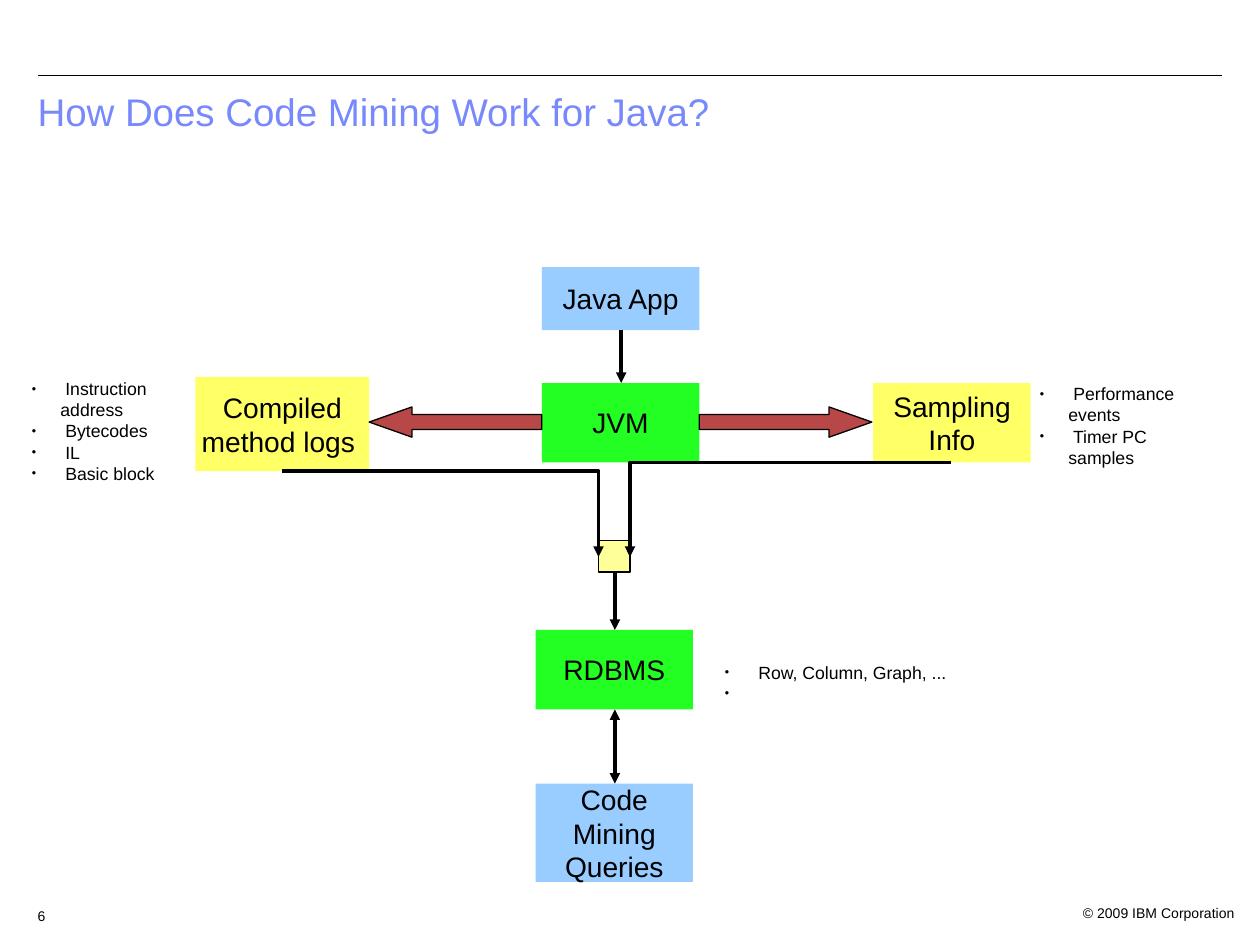
from dataclasses import dataclass

from lxml.etree import SubElement
from pptx import Presentation
from pptx.dml.color import RGBColor as Color
from pptx.enum.shapes import MSO_CONNECTOR as Connector, MSO_SHAPE as Shape
from pptx.enum.text import MSO_ANCHOR as Anchor, PP_ALIGN as Align
from pptx.oxml.ns import qn
from pptx.util import Inches, Pt


@dataclass(frozen=True)
class Theme:
    font: str = "Arial"
    ink: str = "000000"
    title: str = "7889FB"
    green: str = "23FF23"
    blue: str = "99CCFF"
    yellow: str = "FFFF66"
    pale: str = "FFFF99"
    red: str = "B84747"
    title_size: float = 22
    label_size: float = 16.1
    note_size: float = 10.1
    footer_size: float = 8
    hairline: float = 0
    rule: float = 0.71


THEME = Theme()


def add_bullet(para):
    props = para._p.get_or_add_pPr()
    props.set("marL", str(Inches(0.23)))
    props.set("indent", str(-Inches(0.23)))
    color = SubElement(props, qn("a:buClr"))
    SubElement(color, qn("a:srgbClr"), val=THEME.ink)
    SubElement(props, qn("a:buSzPct"), val="45000")
    SubElement(props, qn("a:buFont"), typeface=THEME.font)
    SubElement(props, qn("a:buChar"), char="●")


def write_text(shape, *lines, size, color=THEME.ink, align=Align.LEFT,
               anchor=Anchor.TOP, bullets=False, inset=(0, 0)):
    frame = shape.text_frame
    frame.word_wrap = True
    frame.vertical_anchor = anchor
    frame.margin_left = frame.margin_right = Inches(inset[0])
    frame.margin_top = frame.margin_bottom = Inches(inset[1])
    for index, line in enumerate(lines):
        para = frame.add_paragraph() if index else frame.paragraphs[0]
        para.alignment = align
        if bullets:
            add_bullet(para)
        span = para.add_run()
        span.text = line
        span.font.name = THEME.font
        span.font.size = Pt(size)
        span.font.color.rgb = Color.from_string(color)


def add_text(page, area, *lines, **style):
    box = page.shapes.add_textbox(*map(Inches, area))
    write_text(box, *lines, **style)


def paint(shape, fill, outlined):
    shape.shadow.inherit = False
    shape.fill.solid()
    shape.fill.fore_color.rgb = Color.from_string(fill)
    if outlined:
        shape.line.color.rgb = Color.from_string(THEME.ink)
        shape.line.width = Pt(THEME.hairline)
    else:
        shape.line.fill.background()


def add_block(page, area, fill, label="", outlined=False):
    block = page.shapes.add_shape(Shape.RECTANGLE, *map(Inches, area))
    paint(block, fill, outlined)
    if label:
        write_text(block, label, size=THEME.label_size,
                   align=Align.CENTER, anchor=Anchor.MIDDLE)


def add_wide_arrow(page, tail, tip, middle):
    neck = tip - 0.34 if tip > tail else tip + 0.34
    shaft, head = 0.06, 0.12
    points = [(tail, -shaft), (neck, -shaft), (neck, -head), (tip, 0),
              (neck, head), (neck, shaft), (tail, shaft)]
    corners = [(Inches(x), Inches(middle + y)) for x, y in points]
    builder = page.shapes.build_freeform(*corners[0])
    builder.add_line_segments(corners[1:], close=True)
    paint(builder.convert_to_shape(), THEME.red, outlined=True)


def add_line(page, start, end, width=THEME.hairline, bent=False, ends=()):
    kind = Connector.ELBOW if bent else Connector.STRAIGHT
    line = page.shapes.add_connector(kind, *map(Inches, start + end))
    line.line.color.rgb = Color.from_string(THEME.ink)
    line.line.width = Pt(width)
    props = line._element.spPr
    if bent:
        props.find(qn("a:prstGeom")).set("prst", "bentConnector2")
    for name in ends:
        SubElement(line.line._get_or_add_ln(), qn(f"a:{name}"), type="triangle")
    SubElement(props, qn("a:effectLst"))


def add_frame(page):
    add_line(page, (0.3, 0.6), (9.7, 0.6), width=THEME.rule)
    add_text(page, (0.2, 0.65, 9.5, 0.7), "How Does Code Mining Work for Java?",
             size=THEME.title_size, color=THEME.title, inset=(0.1, 0.05))
    add_text(page, (8.3, 7.18, 1.5, 0.29), "© 2009 IBM Corporation",
             size=THEME.footer_size, align=Align.RIGHT)
    add_text(page, (0.2, 7.15, 0.4, 0.25), "6",
             size=THEME.footer_size, inset=(0.1, 0.05))


def add_diagram(page):
    blocks = [
        ((4.3, 3.04, 1.25, 0.63), THEME.green, "JVM"),
        ((4.3, 2.12, 1.25, 0.5), THEME.blue, "Java App"),
        ((6.93, 3.04, 1.25, 0.63), THEME.yellow, "Sampling Info"),
        ((1.55, 2.99, 1.38, 0.75), THEME.yellow, "Compiled method logs "),
        ((4.25, 5, 1.25, 0.63), THEME.green, "RDBMS"),
        ((4.25, 6.22, 1.25, 0.78), THEME.blue, "Code Mining Queries"),
    ]
    for area, fill, label in blocks:
        add_block(page, area, fill, label)
    add_block(page, (4.75, 4.29, 0.25, 0.25), THEME.pale, outlined=True)

    for tail, tip in ((4.3, 2.93), (5.55, 6.92)):
        add_wide_arrow(page, tail, tip, 3.35)

    add_line(page, (2.24, 3.74), (4.75, 4.42), bent=True, ends=["tailEnd"])
    add_line(page, (7.55, 3.67), (5, 4.42), bent=True, ends=["tailEnd"])
    add_line(page, (4.93, 2.62), (4.93, 3.04), ends=["tailEnd"])
    add_line(page, (4.88, 4.54), (4.88, 5), ends=["tailEnd"])
    add_line(page, (4.88, 5.63), (4.88, 6.22), ends=["headEnd", "tailEnd"])


def add_notes(page):
    notes = [
        ((8.25, 3.04, 1.38, 0.63), [" Performance events", " Timer PC samples"]),
        ((0.25, 3, 1.25, 0.7),
         [" Instruction address", " Bytecodes", " IL", " Basic block"]),
        ((5.75, 5.25, 1.88, 0.38), [" Row, Column, Graph, ...", " "]),
    ]
    for area, lines in notes:
        add_text(page, area, *lines, size=THEME.note_size, bullets=True)


def main():
    deck = Presentation()
    deck.slide_width, deck.slide_height = Inches(10), Inches(7.5)
    page = deck.slides.add_slide(deck.slide_layouts[6])
    add_frame(page)
    add_diagram(page)
    add_notes(page)
    deck.save("out.pptx")


if __name__ == "__main__":
    main()
